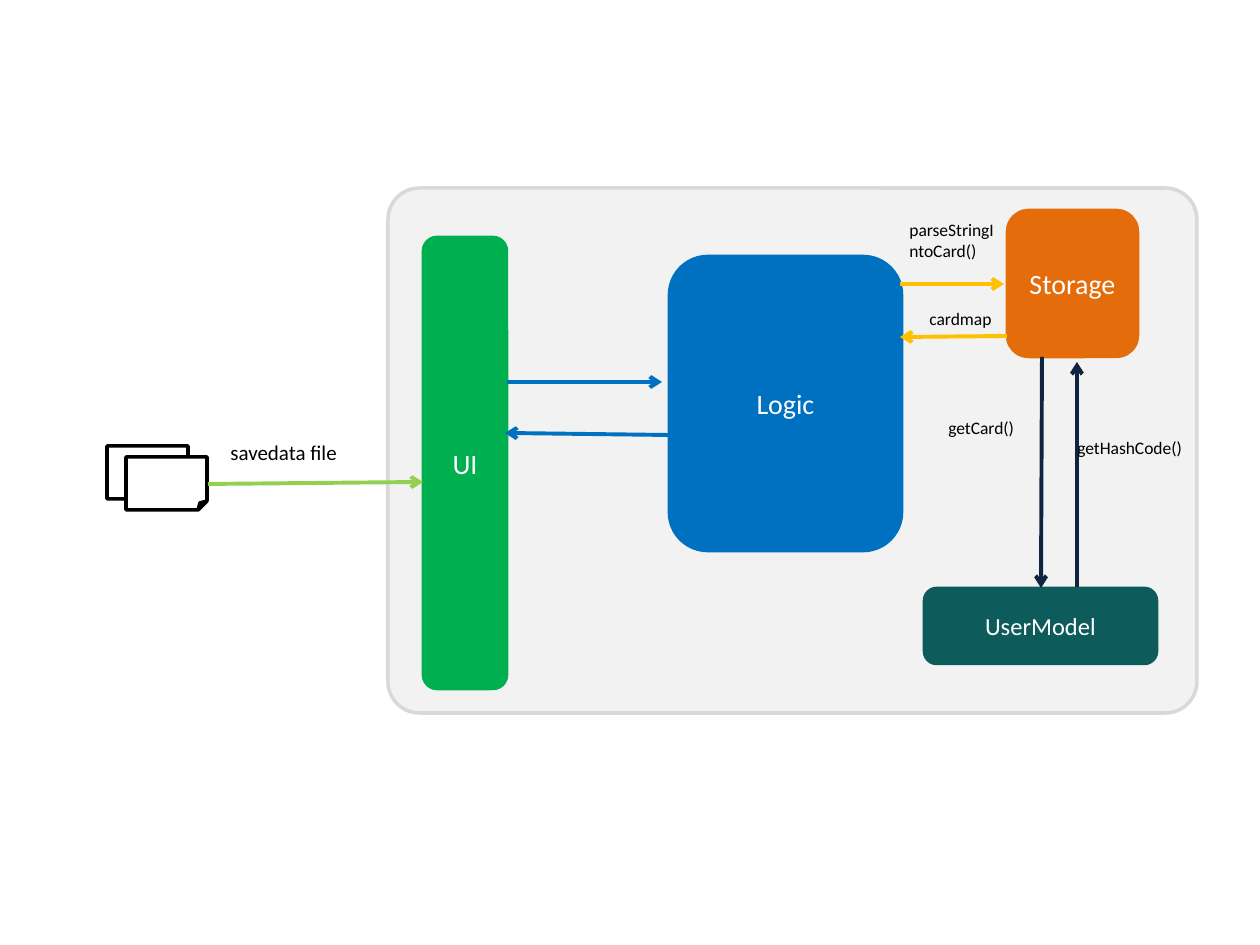
from dataclasses import dataclass

from lxml.etree import SubElement
from pptx import Presentation
from pptx.dml.color import RGBColor
from pptx.enum.shapes import MSO_CONNECTOR, MSO_SHAPE
from pptx.enum.text import MSO_ANCHOR, PP_ALIGN
from pptx.oxml.ns import qn
from pptx.shapes.autoshape import Shape
from pptx.slide import Slide
from pptx.util import Emu, Pt

PIXELS_PER_INCH = 126
FONT = "Calibri"


@dataclass(frozen=True)
class Box:
    left: int
    top: int
    width: int
    height: int
    fill: str
    line: str
    line_width: float = 1.5
    text: str = ""
    size: int = 16
    kind: MSO_SHAPE = MSO_SHAPE.ROUNDED_RECTANGLE
    corner: float | None = None


@dataclass(frozen=True)
class Arrow:
    start: tuple[int, int]
    end: tuple[int, int]
    color: str


@dataclass(frozen=True)
class Label:
    text: str
    left: int
    top: int
    width: int
    height: int
    size: int = 10


def component(text: str, left: int, top: int, width: int, height: int,
              color: str, size: int = 16) -> Box:
    return Box(left, top, width, height, color, color, text=text, size=size)


def document(left: int, top: int) -> Box:
    return Box(left, top, 81, 53, "FFFFFF", "000000", 2, kind=MSO_SHAPE.FOLDED_CORNER)


BOXES = [
    Box(388, 188, 809, 525, "F2F2F2", "D9D9D9", 2, corner=0.06),
    component("UI", 423, 237, 84, 452, "00B050"),
    component("Logic", 669, 256, 233, 295, "0070C0"),
    component("Storage", 1007, 210, 131, 147, "E46C0A"),
    document(107, 446),
    document(126, 457),
    component("UserModel", 924, 588, 233, 76, "0E5B5B", 14),
]

ARROWS = [
    Arrow((507, 382), (662, 382), "0070C0"),
    Arrow((669, 435), (505, 433), "0070C0"),
    Arrow((208, 484), (423, 482), "92D050"),
    Arrow((1042, 357), (1041, 588), "0F243E"),
    Arrow((1077, 587), (1077, 362), "0F243E"),
    Arrow((900, 284), (1004, 284), "FFC000"),
    Arrow((1007, 336), (900, 337), "FFC000"),
]

LABELS = [
    Label("savedata file", 218, 433, 265, 38, 12),
    Label("parseStringIntoCard()", 897, 213, 110, 55),
    Label("getCard()", 936, 411, 141, 34),
    Label("getHashCode()", 1065, 431, 141, 34),
    Label("cardmap", 917, 302, 105, 34),
]


def px(value: int) -> Emu:
    return Emu(round(value * 914400 / PIXELS_PER_INCH))


def rgb(color: str) -> RGBColor:
    return RGBColor.from_string(color)


def write(shape: Shape, text: str, size: int, color: str, align: PP_ALIGN) -> None:
    shape.text_frame.word_wrap = True
    paragraph = shape.text_frame.paragraphs[0]
    paragraph.text = text
    paragraph.alignment = align
    paragraph.font.name = FONT
    paragraph.font.size = Pt(size)
    paragraph.font.color.rgb = rgb(color)


def draw_box(slide: Slide, box: Box) -> None:
    shape = slide.shapes.add_shape(
        box.kind, px(box.left), px(box.top), px(box.width), px(box.height))
    if box.corner is not None:
        shape.adjustments[0] = box.corner
    shape.shadow.inherit = False
    shape.fill.solid()
    shape.fill.fore_color.rgb = rgb(box.fill)
    shape.line.color.rgb = rgb(box.line)
    shape.line.width = Pt(box.line_width)
    if box.text:
        shape.text_frame.vertical_anchor = MSO_ANCHOR.MIDDLE
        write(shape, box.text, box.size, "FFFFFF", PP_ALIGN.CENTER)


def draw_arrow(slide: Slide, arrow: Arrow) -> None:
    connector = slide.shapes.add_connector(
        MSO_CONNECTOR.STRAIGHT, *map(px, arrow.start + arrow.end))
    connector.line.color.rgb = rgb(arrow.color)
    connector.line.width = Pt(2.25)
    properties = connector.element.spPr
    SubElement(properties.find(qn("a:ln")), qn("a:tailEnd"), type="arrow")
    SubElement(properties, qn("a:effectLst"))


def draw_label(slide: Slide, label: Label) -> None:
    shape = slide.shapes.add_textbox(
        px(label.left), px(label.top), px(label.width), px(label.height))
    write(shape, label.text, label.size, "000000", PP_ALIGN.LEFT)


def main() -> None:
    presentation = Presentation()
    presentation.slide_width = px(1260)
    presentation.slide_height = px(945)
    slide = presentation.slides.add_slide(presentation.slide_layouts[6])
    for box in BOXES:
        draw_box(slide, box)
    for arrow in ARROWS:
        draw_arrow(slide, arrow)
    for label in LABELS:
        draw_label(slide, label)
    presentation.save("out.pptx")


if __name__ == "__main__":
    main()
